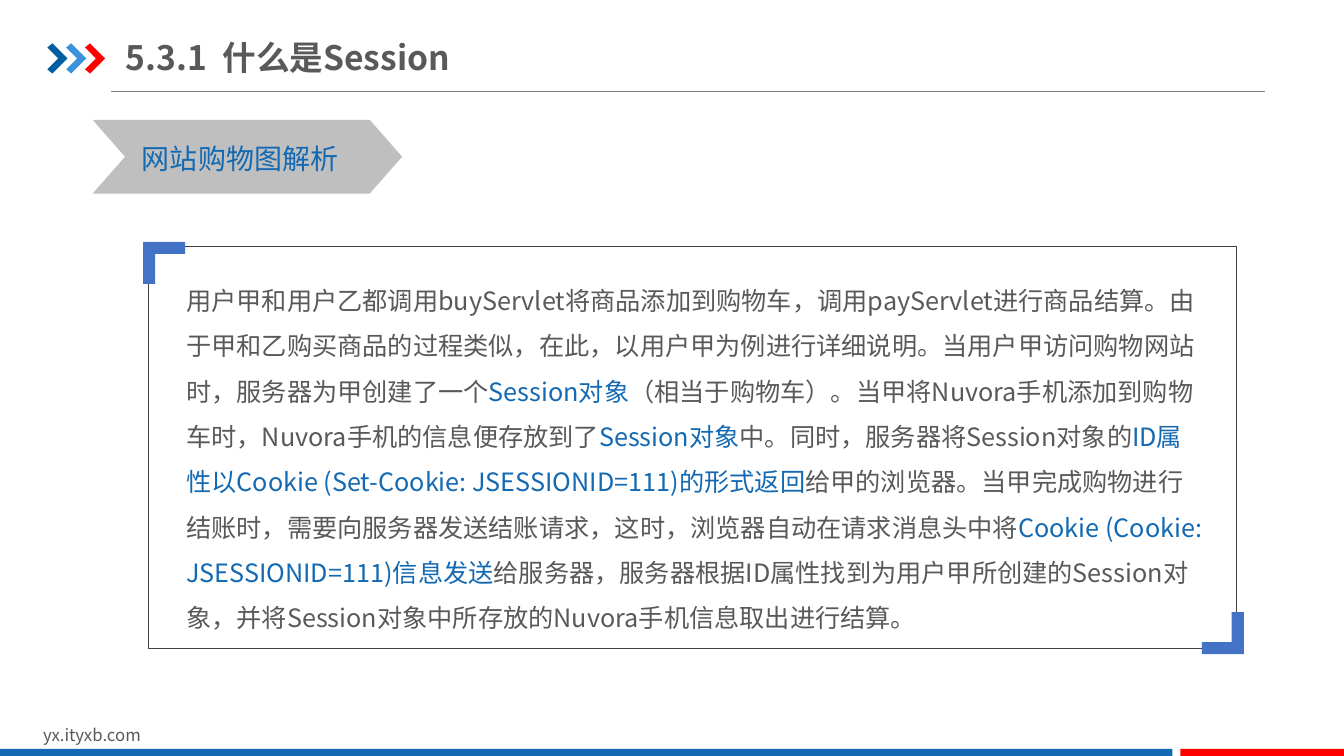
import pptx
import pptx.dml.color
import pptx.enum.shapes
import pptx.enum.text
import pptx.oxml.ns
import pptx.oxml.xmlchemy
import pptx.util
from dataclasses import dataclass

SHAPES = pptx.enum.shapes.MSO_SHAPE
ANCHORS = pptx.enum.text.MSO_ANCHOR


@dataclass(frozen=True)
class Theme:
    font: str = "Noto Sans CJK SC"
    gray: str = "595959"
    blue: str = "1369B2"
    navy: str = "005DA2"
    sky: str = "3992DB"
    red: str = "FF0000"
    corner: str = "4472C4"
    banner: str = "BFBFBF"
    rule: str = "808080"
    frame: str = "404040"
    title_size: int = 24
    label_size: int = 20
    body_size: int = 18
    footer_size: int = 12


class Slide:
    """Draws on a grid of 160 columns by 90 rows."""

    def __init__(self, deck, theme):
        self.theme = theme
        self.page = deck.slides.add_slide(deck.slide_layouts[6])
        self.column = deck.slide_width / 160
        self.row = deck.slide_height / 90

    def place(self, x, y):
        return round(x * self.column), round(y * self.row)

    def color(self, value):
        return pptx.dml.color.RGBColor.from_string(value)

    def paint(self, shape, fill=None, line=None, width=0.25):
        shape.shadow.inherit = False
        if fill:
            shape.fill.solid()
            shape.fill.fore_color.rgb = self.color(fill)
        else:
            shape.fill.background()
        if line:
            shape.line.color.rgb = self.color(line)
            shape.line.width = pptx.util.Pt(width)
        else:
            shape.line.fill.background()

    def shape(self, kind, x, y, width, height, adjust=None, **style):
        shape = self.page.shapes.add_shape(kind, *self.place(x, y), *self.place(width, height))
        if adjust is not None:
            shape.adjustments[0] = adjust
        self.paint(shape, **style)

    def outline(self, x, y, offsets, fill):
        points = [self.place(x + across, y + down) for across, down in offsets]
        builder = self.page.shapes.build_freeform(*points[0])
        builder.add_line_segments(points[1:], close=True)
        self.paint(builder.convert_to_shape(), fill)

    def rule(self, start, end, color, width):
        line = self.page.shapes.add_connector(
            pptx.enum.shapes.MSO_CONNECTOR.STRAIGHT, *self.place(*start), *self.place(*end))
        line.line.color.rgb = self.color(color)
        line.line.width = pptx.util.Pt(width)
        line._element.spPr.append(pptx.oxml.xmlchemy.OxmlElement("a:effectLst"))

    def text(self, x, y, width, height, spans, size, bold=False, wrap=True,
             anchor=ANCHORS.TOP, side=0.1, spacing=None):
        box = self.page.shapes.add_textbox(*self.place(x, y), *self.place(width, height))
        frame = box.text_frame
        frame.word_wrap = wrap
        frame.vertical_anchor = anchor
        frame.margin_left = frame.margin_right = pptx.util.Inches(side)
        para = frame.paragraphs[0]
        if spacing:
            para.line_spacing = spacing
        for words, color in spans:
            span = para.add_run()
            span.text = words
            span.font.size = pptx.util.Pt(size)
            span.font.bold = bold
            span.font.name = self.theme.font
            span.font.color.rgb = self.color(color)
            east = pptx.oxml.xmlchemy.OxmlElement("a:ea")
            east.set("typeface", self.theme.font)
            span.font._element.find(pptx.oxml.ns.qn("a:latin")).addnext(east)


def main():
    deck = pptx.Presentation()
    deck.slide_width = pptx.util.Inches(13.33)
    deck.slide_height = pptx.util.Inches(7.5)
    theme = Theme()
    slide = Slide(deck, theme)

    # Heading with three arrows and a rule
    slide.rule((13.2, 10.92), (150.6, 10.92), theme.rule, 0.5)
    arrow = [(0, 0.5), (0.6, 0), (2.4, 1.8), (0.6, 3.6), (0, 3.1), (1.3, 1.8)]
    for index, color in enumerate((theme.navy, theme.sky, theme.red)):
        slide.outline(5.64 + 2.24 * index, 5.16, arrow, color)
    slide.text(15, 3.48, 44.4, 6.6, [("5.3.1  什么是Session", theme.gray)],
               theme.title_size, bold=True, anchor=ANCHORS.MIDDLE, side=0)

    # Footer
    slide.text(3.96, 85.68, 38.16, 3.6, [("yx.ityxb.com", theme.gray)], theme.footer_size)
    for left, width, color in ((0, 139.56, theme.blue), (140.52, 19.48, theme.red)):
        slide.shape(SHAPES.RECTANGLE, left, 89.16, width, 0.84, fill=color)

    # Topic banner
    slide.shape(SHAPES.CHEVRON, 11.04, 14.28, 36.84, 8.76, adjust=0.44, fill=theme.banner)
    slide.text(15.72, 16.2, 26.04, 5.28, [("网站购物图解析", theme.blue)],
               theme.label_size, wrap=False)

    # Explanation
    slide.text(21, 31.56, 123.48, 43.8, [
        ("用户甲和用户乙都调用buyServlet将商品添加到购物车，调用payServlet进行商品结算。"
         "由于甲和乙购买商品的过程类似，在此，以用户甲为例进行详细说明。"
         "当用户甲访问购物网站时，服务器为甲创建了一个", theme.gray),
        ("Session对象", theme.blue),
        ("（相当于购物车）。当甲将Nuvora手机添加到购物车时，"
         "Nuvora手机的信息便存放到了", theme.gray),
        ("Session对象", theme.blue),
        ("中。同时，服务器将Session对象的", theme.gray),
        ("ID属性以Cookie (Set-Cookie: JSESSIONID=111)的形式返回", theme.blue),
        ("给甲的浏览器。当甲完成购物进行结账时，需要向服务器发送结账请求，"
         "这时，浏览器自动在请求消息头中将", theme.gray),
        ("Cookie (Cookie: JSESSIONID=111)信息发送", theme.blue),
        ("给服务器，服务器根据ID属性找到为用户甲所创建的Session对象，"
         "并将Session对象中所存放的Nuvora手机信息取出进行结算。", theme.gray),
    ], theme.body_size, spacing=1.5)

    # Frame with two opposite corners
    slide.shape(SHAPES.ROUNDED_RECTANGLE, 17.64, 29.28, 129.48, 47.88, adjust=0, line=theme.frame)
    bracket = [(0, 0), (5, 0), (5, 1.44), (1.44, 1.44), (1.44, 5), (0, 5)]
    for x, y, turn in ((17.04, 28.8, 1), (148.08, 77.88, -1)):
        slide.outline(x, y, [(turn * across, turn * down) for across, down in bracket],
                      theme.corner)

    deck.save("out.pptx")


if __name__ == "__main__":
    main()
